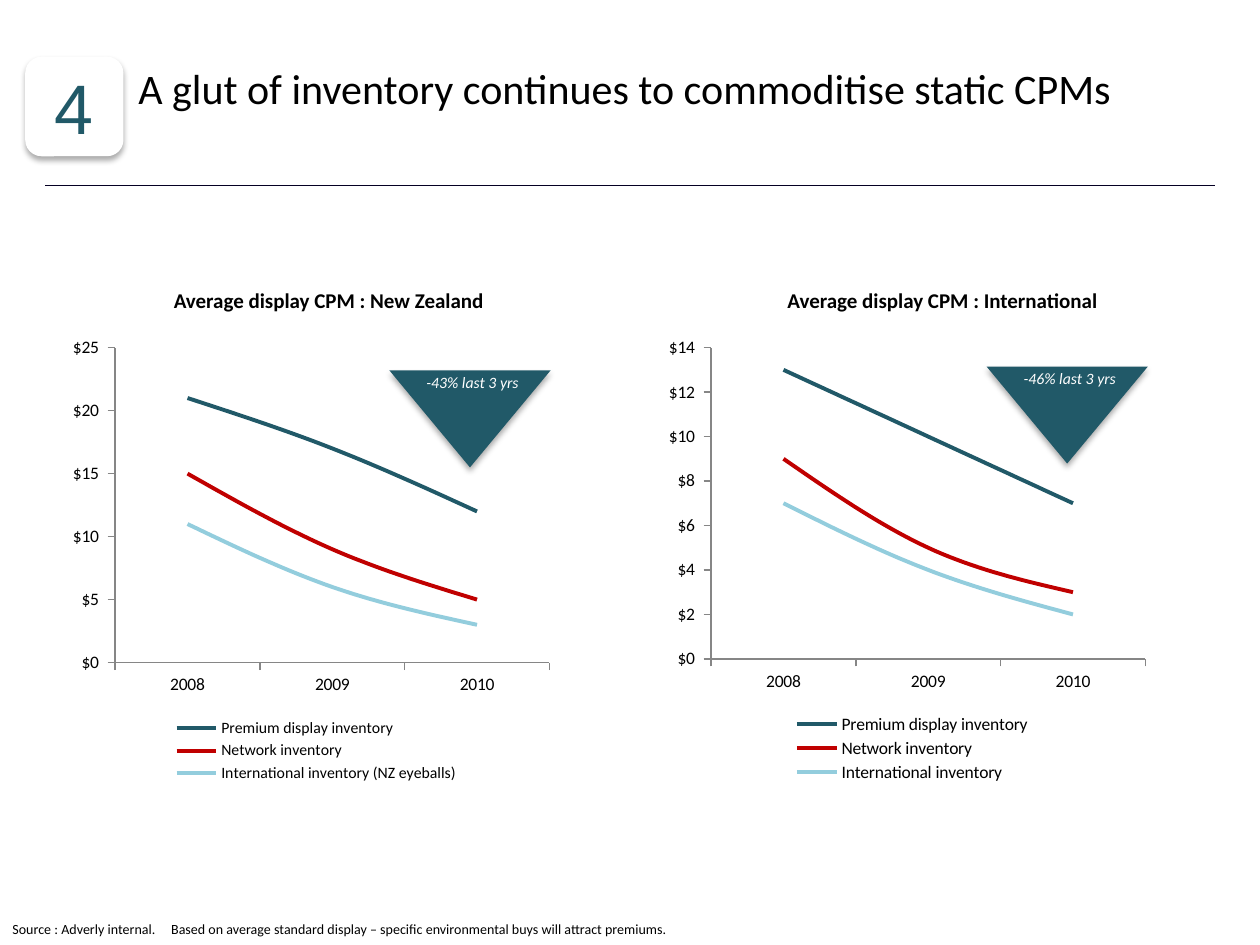
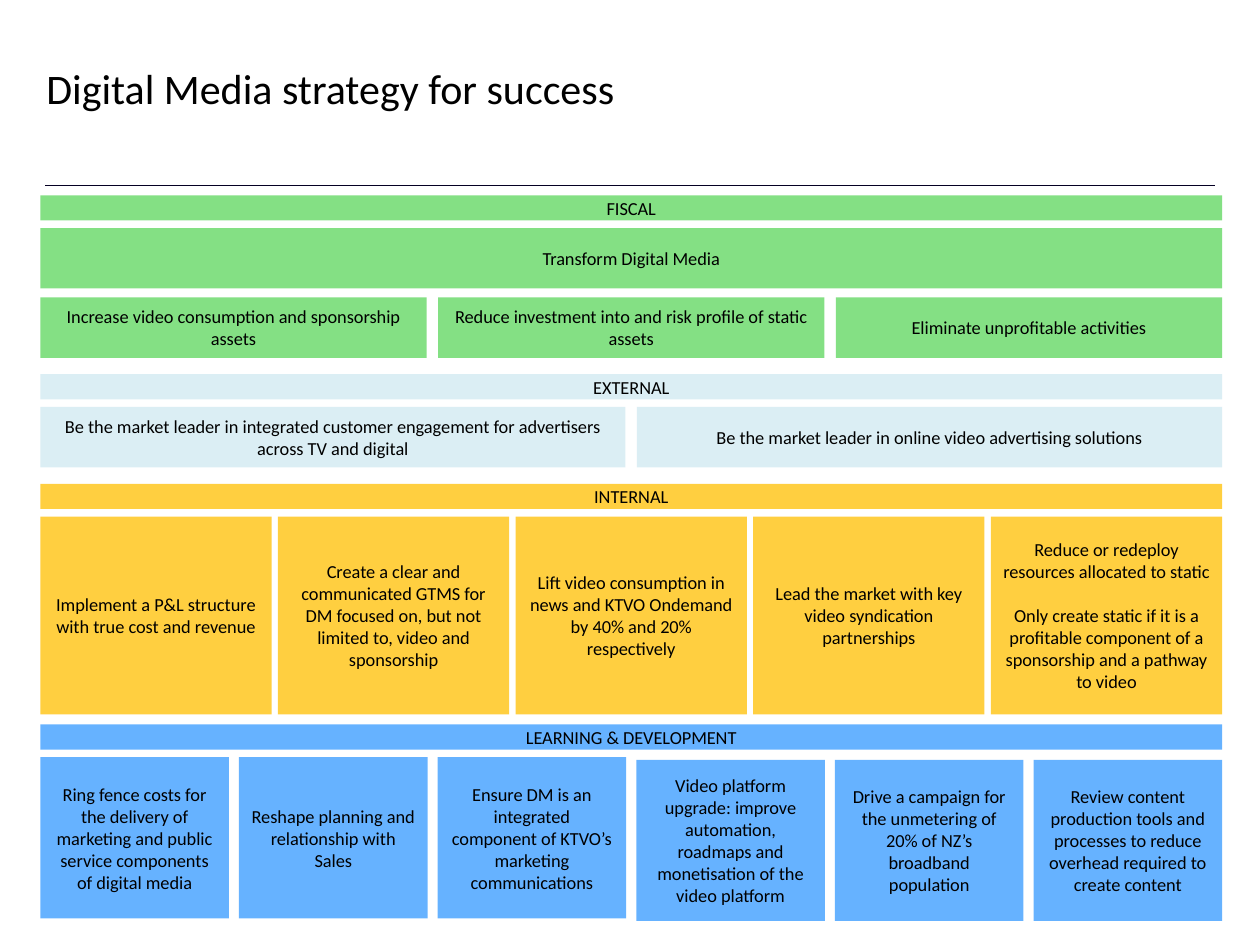
from pptx import Presentation
from pptx.chart.data import CategoryChartData
from pptx.dml.color import RGBColor
from pptx.enum.chart import XL_CHART_TYPE as ChartType, XL_LEGEND_POSITION as LegendPosition, XL_TICK_MARK as TickMark
from pptx.enum.shapes import MSO_CONNECTOR as Connector, MSO_SHAPE as Shape
from pptx.enum.text import MSO_ANCHOR as Anchor, PP_ALIGN as Align
from pptx.oxml import parse_xml
from pptx.oxml.ns import nsdecls, qn
from pptx.util import Inches, Pt
from lxml import etree

COLORS = {
    "black": "000000", "white": "FFFFFF", "rule": "050023", "axis": "868686",
    "teal": "215968", "red": "C00000", "sky": "93CDDD",
    "green": "33CC33", "ice": "DBEEF4", "amber": "FFC000", "blue": "3399FF",
}
FONT = "Calibri"


def write(box, lines, size, color="black", align=Align.CENTER, anchor=Anchor.MIDDLE,
          bold=False, italic=False, font=FONT, gap=0, tab=None):
    frame = box.text_frame
    frame.word_wrap = True
    frame.vertical_anchor = anchor
    for index, line in enumerate(lines):
        para = frame.add_paragraph() if index else frame.paragraphs[0]
        para.alignment = align
        if index:
            para.space_before = Pt(gap)
        if tab:
            stops = etree.SubElement(para._p.get_or_add_pPr(), qn("a:tabLst"))
            etree.SubElement(stops, qn("a:tab"), pos=str(Inches(tab)), algn="l")
        span = para.add_run()
        span.text = line
        span.font.name = font
        span.font.size = Pt(size)
        span.font.bold = bold
        span.font.italic = italic
        span.font.color.rgb = RGBColor.from_string(COLORS[color])


def add_block(page, kind, area, color, opacity=100, shadow=False):
    block = page.shapes.add_shape(kind, *[Inches(value) for value in area])
    block.shadow.inherit = False
    block.fill.solid()
    block.fill.fore_color.rgb = RGBColor.from_string(COLORS[color])
    block.line.fill.background()
    if opacity < 100:
        tint = block._element.spPr.find(".//" + qn("a:srgbClr"))
        etree.SubElement(tint, qn("a:alpha"), val=str(opacity * 1000))
    if shadow:
        effects = block._element.spPr.find(qn("a:effectLst"))
        effects.append(parse_xml(
            f'<a:outerShdw {nsdecls("a")} blurRad="{Pt(3.5)}" dist="{Pt(2.2)}" dir="5400000" rotWithShape="0">'
            f'<a:srgbClr val="{COLORS["black"]}"><a:alpha val="32000"/></a:srgbClr></a:outerShdw>'))
    return block


deck = Presentation()
deck.slide_width, deck.slide_height = Inches(10), Inches(7.5)

titles = [
    ("A glut of inventory continues to commoditise static CPMs", 1, 8.82),
    ("Digital Media strategy for success", 0.27, 9.15),
]
pages = []
for title, left, width in titles:
    page = deck.slides.add_slide(deck.slide_layouts[6])
    rule = page.shapes.add_connector(Connector.STRAIGHT, Inches(0.36), Inches(1.47), Inches(9.64), Inches(1.47))
    rule.line.color.rgb = RGBColor.from_string(COLORS["rule"])
    rule.line.width = Pt(0.25)
    etree.SubElement(rule._element.spPr, qn("a:effectLst"))
    box = page.shapes.add_textbox(Inches(left), Inches(0.45), Inches(width), Inches(0.87))
    write(box, [title], 24, align=Align.LEFT, anchor=Anchor.TOP)
    pages.append(page)
pricing, strategy = pages

badge = add_block(pricing, Shape.ROUNDED_RECTANGLE, (0.2, 0.45, 0.78, 0.79), "white", shadow=True)
write(badge, ["4"], 40, "teal", font="Arial")

markets = [
    {"name": "New Zealand", "left": 0.5, "heading": 1.07, "arrow": (3.09, 2.94), "drop": "-43% last 3 yrs",
     "top_price": 25, "step": 5, "plot_height": 0.685, "legend": (0.2, 0.84, 0.62, 0.155), "legend_size": 9,
     "series": [("Premium display inventory", (21, 17, 12)), ("Network inventory", (15, 9, 5)),
                ("International inventory (NZ eyeballs)", (11, 6, 3))]},
    {"name": "International", "left": 5.23, "heading": 5.94, "arrow": (7.83, 2.91), "drop": "-46% last 3 yrs",
     "top_price": 14, "step": 2, "plot_height": 0.677, "legend": (0.25, 0.83, 0.52, 0.165), "legend_size": 10,
     "series": [("Premium display inventory", (13, 10, 7)), ("Network inventory", (9, 5, 3)),
                ("International inventory", (7, 4, 2))]},
]
for market in markets:
    data = CategoryChartData()
    data.categories = ["2008", "2009", "2010"]
    for name, prices in market["series"]:
        data.add_series(name, prices)
    chart = pricing.shapes.add_chart(ChartType.LINE, Inches(market["left"]), Inches(2.61),
                                     Inches(3.94), Inches(3.65), data).chart
    chart.has_title = False
    chart.font.name = FONT
    chart.font.size = Pt(10)
    chart.font.color.rgb = RGBColor.from_string(COLORS["black"])
    chart.plots[0].vary_by_categories = False
    for series, color in zip(chart.plots[0].series, ("teal", "red", "sky")):
        series.smooth = True
        series.format.line.color.rgb = RGBColor.from_string(COLORS[color])
        series.format.line.width = Pt(2.25)

    price_axis = chart.value_axis
    price_axis.minimum_scale, price_axis.maximum_scale = 0, market["top_price"]
    price_axis.major_unit = market["step"]
    price_axis.has_major_gridlines = False
    price_axis.tick_labels.number_format = '"$"#,##0_);[Red]\\("$"#,##0\\)'
    price_axis.tick_labels.number_format_is_linked = False
    for axis in (price_axis, chart.category_axis):
        axis.major_tick_mark = TickMark.OUTSIDE
        axis.format.line.color.rgb = RGBColor.from_string(COLORS["axis"])
        axis.format.line.width = Pt(0.75)

    chart.has_legend = True
    legend = chart.legend
    legend.position = LegendPosition.BOTTOM
    legend.include_in_layout = False
    legend.font.name = FONT
    legend.font.size = Pt(market["legend_size"])
    plot_area = chart._chartSpace.chart.plotArea
    for part, bounds, target in ((plot_area, (0.105, 0.041, 0.875, market["plot_height"]), "inner"),
                                 (legend._element, market["legend"], None)):
        for layout in part.findall(qn("c:layout")):
            part.remove(layout)
        inner = f'<c:layoutTarget val="{target}"/>' if target else ""
        modes = '<c:xMode val="edge"/><c:yMode val="edge"/>'
        sizes = "".join(f'<c:{key} val="{value}"/>' for key, value in zip("xywh", bounds))
        layout = parse_xml(f'<c:layout {nsdecls("c")}><c:manualLayout>{inner}{modes}{sizes}'
                           '</c:manualLayout></c:layout>')
        part.insert(0 if target else 1, layout)

    box = pricing.shapes.add_textbox(Inches(market["heading"]), Inches(2.23), Inches(3.08), Inches(0.3))
    write(box, [f"Average display CPM : {market['name']}"], 12, anchor=Anchor.TOP, bold=True)

    left, top = market["arrow"]
    arrow = add_block(pricing, Shape.ISOSCELES_TRIANGLE, (left, top, 1.28, 0.77), "teal", shadow=True)
    arrow._element.spPr.find(qn("a:xfrm")).set("flipV", "1")
    box = pricing.shapes.add_textbox(Inches(left + 0.14), Inches(top - 0.03), Inches(1.04), Inches(0.25))
    write(box, [market["drop"]], 9, "white", anchor=Anchor.TOP, italic=True)

box = pricing.shapes.add_textbox(Inches(0), Inches(7.26), Inches(6.92), Inches(0.24))
write(box, ["Source : Adverly internal.\tBased on average standard display – "
            "specific environmental buys will attract premiums."],
      8, align=Align.LEFT, anchor=Anchor.TOP, tab=1.26)

LEFT, WIDTH = 0.32, 9.38
bands = [
    ("FISCAL", 1.55, "green", 60, [
        (1.81, 0.48, 0, 0, [["Transform Digital Media"]]),
        (2.36, 0.48, 0.09, 0, [
            ["Increase video consumption and sponsorship assets"],
            ["Reduce investment into and risk profile of static assets"],
            ["Eliminate unprofitable activities"]]),
    ]),
    ("EXTERNAL", 2.97, "ice", 100, [
        (3.23, 0.48, 0.09, 0, [
            ["Be the market leader in integrated customer engagement for advertisers across TV and digital"],
            ["Be the market leader in online video advertising solutions"]]),
    ]),
    ("INTERNAL", 3.84, "amber", 75, [
        (4.1, 1.57, 0.05, 0, [
            ["Implement a P&L structure with true cost and revenue"],
            ["Create a clear and communicated GTMS for DM focused on, but not limited to, video and sponsorship"],
            ["Lift video consumption in news and KTVO Ondemand by 40% and 20% respectively"],
            ["Lead the market with key video syndication partnerships"],
            ["Reduce or redeploy resources allocated to static",
             "Only create static if it is a profitable component of a sponsorship and a pathway to video"]]),
    ]),
    ("LEARNING & DEVELOPMENT", 5.75, "blue", 75, [
        (6.01, 1.28, 0.08, 0.02, [
            ["Ring fence costs for the delivery of marketing and public service components of digital media"],
            ["Reshape planning and relationship with Sales"],
            ["Ensure DM is an integrated component of KTVO’s marketing communications"],
            ["Video platform upgrade: improve automation, roadmaps and monetisation of the video platform"],
            ["Drive a campaign for the unmetering of 20% of NZ’s broadband population"],
            ["Review content production tools and processes to reduce overhead required to create content"]]),
    ]),
]
for heading, band_top, color, opacity, rows in bands:
    for top, height, gap, drop, goals in [(band_top, 0.2, 0, 0, [[heading]])] + rows:
        width = (WIDTH - gap * (len(goals) - 1)) / len(goals)
        for index, lines in enumerate(goals):
            goal_top = top + drop * (index >= len(goals) / 2)
            area = (LEFT + index * (width + gap), goal_top, width, height)
            write(add_block(strategy, Shape.RECTANGLE, area, color, opacity), lines, 10.5, gap=12.6)

deck.save("out.pptx")
